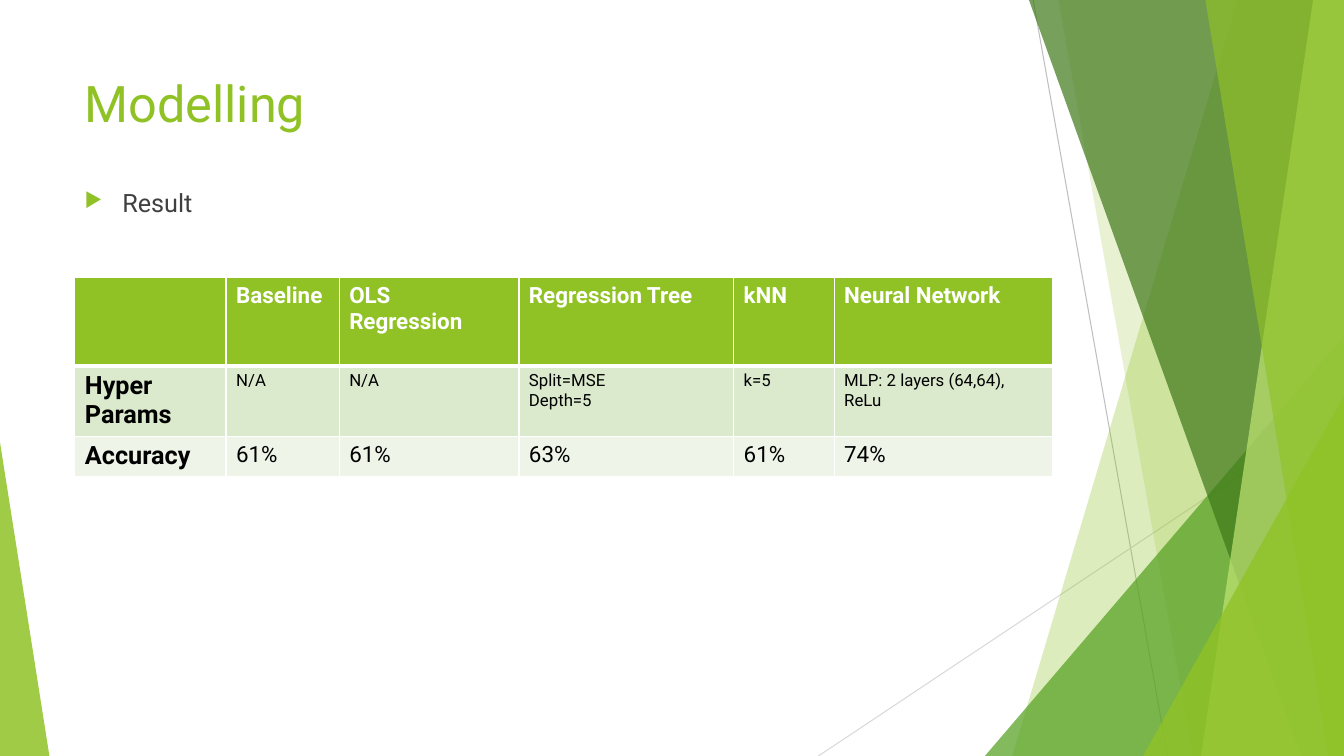
"""Build the Modelling slide: facet decoration, title, bullet and result table."""
from dataclasses import dataclass

from lxml.etree import SubElement
from pptx import Presentation
from pptx.dml.color import RGBColor as Rgb
from pptx.enum.shapes import MSO_CONNECTOR as Connector, MSO_SHAPE as Preset
from pptx.oxml.ns import qn
from pptx.util import Pt


@dataclass(frozen=True)
class Theme:
    """Colours, font and type sizes of the slide."""
    font: str = "Roboto"
    green: str = "90C226"
    leaf: str = "54A021"
    forest: str = "3F7819"
    lime: str = "C0E474"
    grey: str = "BFBFBF"
    pale_grey: str = "D9D9D9"
    body: str = "404040"
    ink: str = "000000"
    white: str = "FFFFFF"
    row_dark: str = "DBE9CD"
    row_light: str = "EEF4E8"
    title_size: int = 36
    label_size: int = 18
    value_size: int = 16
    detail_size: int = 12


THEME = Theme()
WIDTH, HEIGHT = 960, 540
HAIRLINES = [
    ((738, 0), (834, HEIGHT), THEME.grey),
    ((WIDTH, 290), (584.6, HEIGHT), THEME.pale_grey),
]
BACK_FACETS = [(884, 723, THEME.green, 30), (756, 852, THEME.green, 20)]
FRONT_FACETS = [
    (735, 929.5, THEME.forest, 70),
    (938, 858, THEME.lime, 70),
    (861, 949, THEME.green, 65),
]
LOW_WEDGE = (703.5, 240, 256.5, 1, THEME.leaf, 72)
CORNER_WEDGES = [
    (816.5, 283, 143.5, 1, THEME.green, 80),
    (0, 316, 35.3, 0, THEME.green, 85),
]
COLUMN_WIDTHS = [108, 80.8, 128.4, 153.4, 71.8, 156]
ROW_HEIGHTS = [63, 49.2, 29]
RESULTS = [
    ["", "Baseline", "OLS Regression", "Regression Tree", "kNN", "Neural Network"],
    ["Hyper Params", "N/A", "N/A", "Split=MSE\nDepth=5", "k=5",
     "MLP: 2 layers (64,64), ReLu"],
    ["Accuracy", "61%", "61%", "63%", "61%", "74%"],
]


def apply(target, values):
    """Set every attribute named in values on target."""
    for name, value in values.items():
        setattr(target, name, value)


def style_text(frame, size, color, bold=False):
    """Format all runs of a text frame."""
    look = {"name": THEME.font, "size": Pt(size), "bold": bold}
    for paragraph in frame.paragraphs:
        for run in paragraph.runs:
            apply(run.font, look)
            run.font.color.rgb = Rgb.from_string(color)


def paint(facet, color, opacity):
    """Give a facet a translucent fill without outline or shadow."""
    facet.shadow.inherit = False
    facet.line.fill.background()
    facet.fill.solid()
    facet.fill.fore_color.rgb = Rgb.from_string(color)
    tint = facet.element.spPr.find(qn("a:solidFill")).find(qn("a:srgbClr"))
    SubElement(tint, qn("a:alpha"), val=str(opacity * 1000))


def add_hairline(slide, start, end, color):
    """Draw a thin decorative line."""
    ends = [Pt(value) for value in (*start, *end)]
    hairline = slide.shapes.add_connector(Connector.STRAIGHT, *ends)
    hairline.line.width = Pt(0.75)
    hairline.line.color.rgb = Rgb.from_string(color)
    SubElement(hairline.element.spPr, qn("a:effectLst"))


def add_facet(slide, top_x, bottom_x, color, opacity):
    """Draw a full-height facet that reaches the right slide edge."""
    builder = slide.shapes.build_freeform(Pt(top_x), 0)
    corners = [(WIDTH, 0), (WIDTH, HEIGHT), (bottom_x, HEIGHT)]
    builder.add_line_segments([(Pt(x), Pt(y)) for x, y in corners])
    paint(builder.convert_to_shape(), color, opacity)


def add_wedge(slide, left, top, width, apex, color, opacity):
    """Draw a triangle that stands on the bottom slide edge."""
    wedge = slide.shapes.add_shape(
        Preset.ISOSCELES_TRIANGLE, Pt(left), Pt(top), Pt(width), Pt(HEIGHT - top))
    wedge.adjustments[0] = apex
    paint(wedge, color, opacity)


def add_text(slide, text, top, height, size, color):
    """Add a wrapped text box in the content column and return its paragraph."""
    box = slide.shapes.add_textbox(Pt(53.3), Pt(top), Pt(677), Pt(height))
    apply(box.text_frame, {"word_wrap": True, "text": text})
    style_text(box.text_frame, size, color)
    return box.text_frame.paragraphs[0]


def add_bullet(paragraph):
    """Give a paragraph a green arrow bullet with a hanging indent."""
    paragraph.space_before = Pt(10)
    properties = paragraph._p.get_or_add_pPr()
    properties.set("marL", str(Pt(27)))
    properties.set("indent", str(Pt(-27)))
    bullet_color = SubElement(properties, qn("a:buClr"))
    SubElement(bullet_color, qn("a:srgbClr"), val=THEME.green)
    SubElement(properties, qn("a:buSzPct"), val="80000")
    SubElement(properties, qn("a:buChar"), char="\u25b6")


def add_borders(cell, widths):
    """Draw white borders with the given width for each side."""
    properties = cell._tc.get_or_add_tcPr()
    for side, width in widths.items():
        border = SubElement(properties, qn(f"a:ln{side}"), w=str(Pt(width)))
        fill = SubElement(border, qn("a:solidFill"))
        SubElement(fill, qn("a:srgbClr"), val=THEME.white)


def add_results(slide):
    """Add the table of models, hyperparameters and accuracies."""
    frame = slide.shapes.add_table(
        len(RESULTS), len(COLUMN_WIDTHS), Pt(53.5), Pt(198.3),
        Pt(sum(COLUMN_WIDTHS)), Pt(sum(ROW_HEIGHTS)))
    table = frame.table
    apply(table, {"first_row": True, "horz_banding": False})
    for column, width in zip(table.columns, COLUMN_WIDTHS):
        column.width = Pt(width)
    fills = [THEME.green, THEME.row_dark, THEME.row_light]
    sizes = [THEME.value_size, THEME.detail_size, THEME.value_size]
    for r, texts in enumerate(RESULTS):
        table.rows[r].height = Pt(ROW_HEIGHTS[r])
        header = r == 0
        for c, text in enumerate(texts):
            cell = table.cell(r, c)
            add_borders(cell, {"L": 1, "R": 1, "T": 3 if r == 1 else 1,
                               "B": 3 if header else 1})
            cell.fill.solid()
            cell.fill.fore_color.rgb = Rgb.from_string(fills[r])
            cell.text = text
            size = THEME.label_size if c == 0 else sizes[r]
            color = THEME.white if header else THEME.ink
            style_text(cell.text_frame, size, color, header or c == 0)


def add_decoration(slide):
    """Layer the lines, facets and wedges from back to front."""
    for hairline in HAIRLINES:
        add_hairline(slide, *hairline)
    for facet in BACK_FACETS:
        add_facet(slide, *facet)
    add_wedge(slide, *LOW_WEDGE)
    for facet in FRONT_FACETS:
        add_facet(slide, *facet)
    for wedge in CORNER_WEDGES:
        add_wedge(slide, *wedge)


def main():
    """Build and save the slide."""
    deck = Presentation()
    apply(deck, {"slide_width": Pt(WIDTH), "slide_height": Pt(HEIGHT)})
    slide = deck.slides.add_slide(deck.slide_layouts[6])
    add_decoration(slide)
    add_text(slide, "Modelling", 48.2, 104, THEME.title_size, THEME.green)
    add_results(slide)
    add_bullet(add_text(slide, "Result", 130.3, 305, THEME.label_size, THEME.body))
    deck.save("out.pptx")


main()
